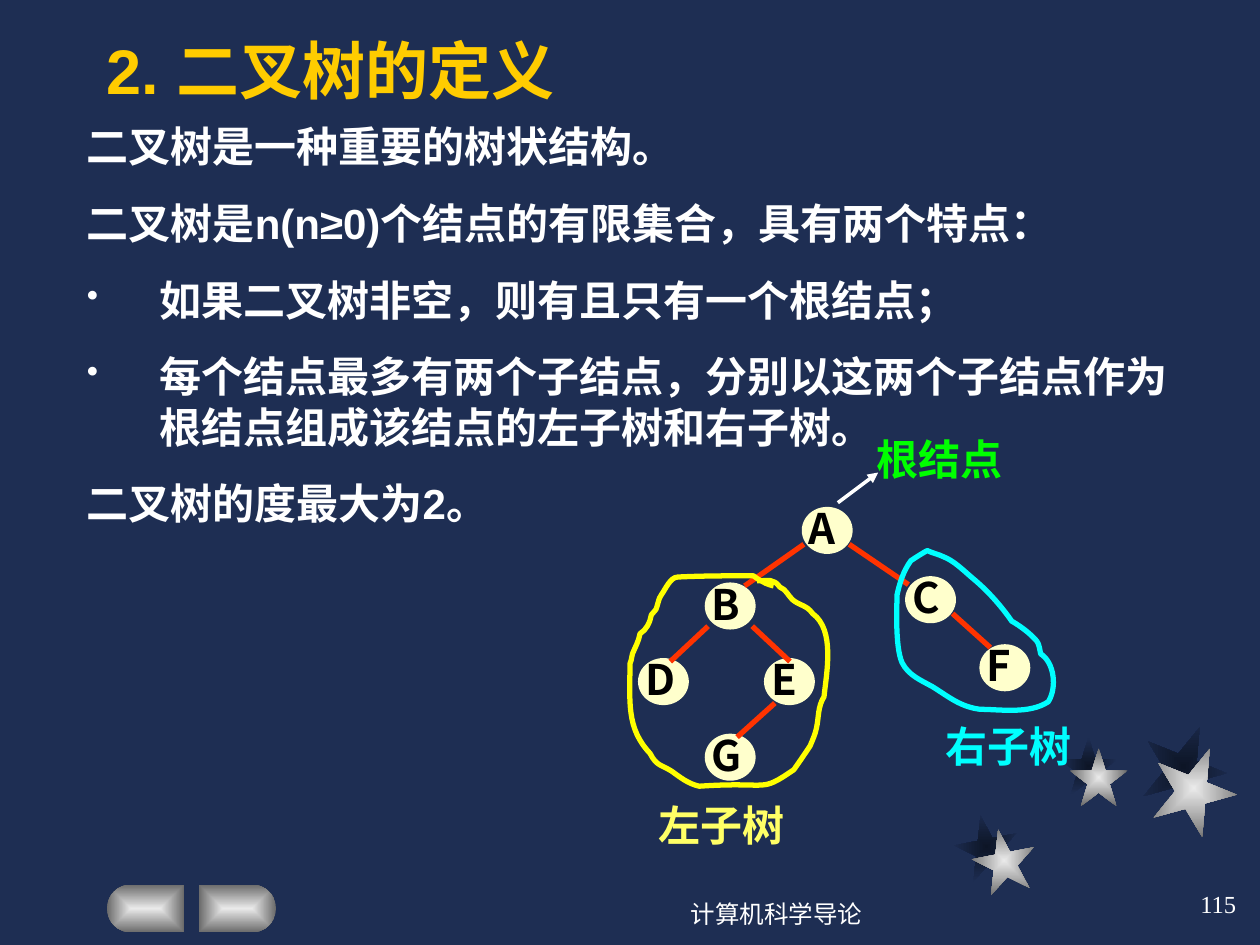
from math import cos, pi, sin

from lxml import etree
from pptx import Presentation
from pptx.dml.color import RGBColor
from pptx.enum import shapes, text
from pptx.oxml.ns import qn
from pptx.util import Inches, Pt

THEME = dict(
    bg="1E2E53", shade="0D1526", light="EAEAEA", dark="6B6B6B", title="FFCC00", white="FFFFFF",
    node="FFFFCC", ink="000000", edge="FF3300", left="FFFF00", left_label="FFFF66",
    right="00FFFF", root="00FF00", sans="Arial", serif="Times New Roman",
    cjk="Noto Sans CJK SC", title_pt=36, body_pt=24, foot_pt=14, gap_pt=15, leading=1.2,
)
UNITS = 1000  # freeform units per inch

TITLE = "2. 二叉树的定义"
BODY = [  # text, bulleted
    ("二叉树是一种重要的树状结构。", False),
    ("二叉树是n(n≥0)个结点的有限集合，具有两个特点：", False),
    ("如果二叉树非空，则有且只有一个根结点；", True),
    ("每个结点最多有两个子结点，分别以这两个子结点作为根结点组成该结点的左子树和右子树。", True),
    ("二叉树的度最大为2。", False),
]
LABELS = [("右子树", 7.41, 5.67, "right"), ("左子树", 5.13, 6.3, "left_label"),
          ("根结点", 6.86, 3.39, "root")]
FOOTER = [("计算机科学导论", (4.58, 7, 3.17, 0.5), "CENTER"),
          ("115", (7.83, 6.92, 2.08, 0.5), "RIGHT")]
NODES = {"A": (6.37, 4.03), "F": (7.78, 5.12), "G": (5.6, 5.83), "E": (6.07, 5.23),
         "D": (5.07, 5.23), "C": (7.19, 4.58), "B": (5.6, 4.63)}
EDGES = [(6.38, 4.32, 5.91, 4.65), (6.74, 4.32, 7.21, 4.64), (5.97, 4.97, 6.27, 5.25),
         (6.15, 5.58, 5.85, 5.85), (5.62, 4.97, 5.32, 5.25), (7.56, 4.87, 7.86, 5.14)]
ROOT_ARROW = (6.65, 3.99, 6.97, 3.75)
STARS = [  # size, rotation, shadow corner, star corner
    (0.5, 349, (7.58, 6.47), (7.72, 6.58)),
    (0.46, 0, (8.41, 5.85), (8.49, 5.94)),
    (0.67, 22, (9.06, 5.75), (9.14, 5.92)),
]
BUTTONS = [(1.46, -1), (1.58, 1)]  # x of the flat side, direction of the round side

# Loops: start point, then cubic segments (two controls and an end)
LEFT_LOOP = (6.14, 4.65), [
    (6.13, 4.65, 6.07, 4.63, 6.06, 4.62), (6.03, 4.61, 5.98, 4.57, 5.98, 4.57),
    (5.78, 4.57, 5.58, 4.57, 5.38, 4.58), (5.32, 4.58, 5.28, 4.68, 5.25, 4.72),
    (5.24, 4.73, 5.23, 4.76, 5.23, 4.76), (5.2, 4.86, 5.22, 4.82, 5.17, 4.88),
    (5.16, 4.94, 5.13, 5, 5.08, 5.03), (5.07, 5.09, 5.04, 5.14, 5.02, 5.19),
    (5.02, 5.21, 5.01, 5.22, 5.01, 5.24), (5, 5.25, 5, 5.28, 5, 5.28),
    (5, 5.57, 4.97, 5.78, 5.16, 5.98), (5.21, 6.08, 5.25, 6.07, 5.33, 6.12),
    (5.4, 6.17, 5.46, 6.22, 5.55, 6.24), (6.13, 6.2, 6.02, 6.3, 6.3, 6.11),
    (6.35, 6.04, 6.39, 5.98, 6.43, 5.92), (6.45, 5.87, 6.47, 5.83, 6.48, 5.78),
    (6.5, 5.69, 6.49, 5.61, 6.54, 5.53), (6.56, 5.34, 6.63, 5, 6.45, 4.87),
    (6.4, 4.8, 6.35, 4.81, 6.29, 4.76), (6.25, 4.72, 6.24, 4.68, 6.19, 4.66),
    (6.14, 4.59, 6.1, 4.61, 6.01, 4.61)]
RIGHT_LOOP = (7.36, 4.37), [
    (7.32, 4.39, 7.23, 4.45, 7.23, 4.45), (7.17, 4.53, 7.14, 4.63, 7.12, 4.72),
    (7.12, 4.78, 7.1, 5.13, 7.16, 5.26), (7.21, 5.36, 7.31, 5.4, 7.4, 5.45),
    (7.53, 5.53, 7.62, 5.61, 7.78, 5.63), (7.94, 5.63, 8.17, 5.67, 8.32, 5.57),
    (8.39, 5.46, 8.37, 5.26, 8.26, 5.19), (8.25, 5.15, 8.25, 5.12, 8.23, 5.09),
    (8.18, 5.03, 8.1, 4.97, 8.03, 4.93), (7.94, 4.8, 7.83, 4.68, 7.72, 4.59),
    (7.65, 4.53, 7.57, 4.45, 7.49, 4.42), (7.45, 4.4, 7.4, 4.39, 7.36, 4.37)]


def rgb(key):
    return RGBColor.from_string(THEME[key])


def child(parent, tag, **attrs):
    return etree.SubElement(parent, qn(tag), {k: str(v) for k, v in attrs.items()})


def glow(sp, inner, outer):
    """Fill with a rectangular gradient from the centre outwards."""
    sp.shadow.inherit = False
    sp.line.fill.background()
    sp.fill.gradient()
    for stop, key in zip(sp.fill.gradient_stops, (inner, outer)):
        stop.color.rgb = rgb(key)
    grad = sp._element.spPr.find(qn("a:gradFill"))
    grad.remove(grad.find(qn("a:lin")))
    child(child(grad, "a:path", path="rect"), "a:fillToRect", l=50000, t=50000, r=50000, b=50000)


def add_text(s, box, anchor="TOP", left=0.1):
    tf = s.shapes.add_textbox(*map(Inches, box)).text_frame
    tf.word_wrap = True
    tf.vertical_anchor = text.MSO_ANCHOR[anchor]
    tf.margin_left = Inches(left)
    return tf


def add_run(p, words, size, color, font, bold=True, fixed=True):
    if fixed:
        p.line_spacing = Pt(THEME[size] * THEME["leading"])
    r = p.add_run()
    r.text = words
    r.font.size, r.font.bold, r.font.name = Pt(THEME[size]), bold, THEME[font]
    r.font.color.rgb = rgb(color)
    child(r._r.get_or_add_rPr(), "a:ea", typeface=THEME["cjk"])


def add_line(s, ends, color, width):
    ln = s.shapes.add_connector(shapes.MSO_CONNECTOR.STRAIGHT, *map(Inches, ends))
    ln.line.color.rgb, ln.line.width = rgb(color), Pt(width)
    child(ln._element.spPr, "a:effectLst")
    return ln


def add_outline(s, points, close):
    (x, y), *rest = [(round(px * UNITS), round(py * UNITS)) for px, py in points]
    fb = s.shapes.build_freeform(x, y, scale=Inches(1) / UNITS)
    fb.add_line_segments(rest, close=close)
    return fb.convert_to_shape()


def add_loop(s, loop, color, close):
    """Outline the segment ends, then turn each straight segment into its cubic curve."""
    start, curves = loop
    ends = [start] + [c[4:] for c in curves]
    sp = add_outline(s, ends, close)
    x0, y0 = (min(axis) for axis in zip(*ends))
    for seg, c in zip(list(sp._element.iter(qn("a:lnTo"))), curves):
        cubic = etree.Element(qn("a:cubicBezTo"))
        for x, y in zip(c[::2], c[1::2]):
            child(cubic, "a:pt", x=round((x - x0) * UNITS), y=round((y - y0) * UNITS))
        seg.getparent().replace(seg, cubic)
    sp.shadow.inherit = False
    sp.fill.background()
    sp.line.color.rgb, sp.line.width = rgb(color), Pt(3)


def add_decor(s):
    for layer, colors in ((2, ("shade", "bg")), (3, ("light", "dark"))):
        for star in STARS:
            size, turn = star[:2]
            box = map(Inches, (*star[layer], size, size))
            sp = s.shapes.add_shape(shapes.MSO_SHAPE.STAR_5_POINT, *box)
            sp.rotation = turn
            glow(sp, *colors)
    radius, middle, straight = 0.19, 7.21, 0.42
    for x, side in BUTTONS:
        arc = [(x + side * (straight + radius * cos(a)), middle + radius * sin(a))
               for a in (pi * (i / 20 - 0.5) for i in range(21))]
        glow(add_outline(s, [(x, middle - radius), *arc, (x, middle + radius)], True),
             "light", "dark")


def add_body(s):
    tf = add_text(s, (0.59, 0.91, 9.05, 3.54))
    for i, (words, bulleted) in enumerate(BODY):
        p = tf.paragraphs[0] if i == 0 else tf.add_paragraph()
        if i:
            p.space_before = Pt(THEME["gap_pt"])
        pPr = p._p.get_or_add_pPr()
        pPr.set("marL", str(Inches(0.58)))
        pPr.set("indent", str(-Inches(0.58)))
        if bulleted:
            child(child(pPr, "a:buClr"), "a:srgbClr", val=THEME["white"])
            child(pPr, "a:buSzPct", val=80000)
            child(pPr, "a:buChar", char="•")
        else:
            child(pPr, "a:buNone")
        add_run(p, words, "body_pt", "white", "sans")


def add_tree(s):
    for name, (x, y) in NODES.items():
        sp = s.shapes.add_shape(shapes.MSO_SHAPE.OVAL, *map(Inches, (x, y, 0.39, 0.36)))
        sp.shadow.inherit = False
        sp.fill.solid()
        sp.fill.fore_color.rgb = sp.line.color.rgb = rgb("node")
        sp.line.width = Pt(1)
        tf = add_text(s, (x - 0.1, y - 0.09, 0.71, 0.5), left=0.15)
        add_run(tf.paragraphs[0], name, "body_pt", "ink", "cjk")
    for ends in EDGES:
        add_line(s, ends, "edge", 3)
    add_loop(s, LEFT_LOOP, "left", False)
    add_loop(s, RIGHT_LOOP, "right", True)
    for words, x, y, color in LABELS:
        tf = add_text(s, (x, y, 1.34, 0.5))
        add_run(tf.paragraphs[0], words, "body_pt", color, "serif")
    arrow = add_line(s, ROOT_ARROW, "white", 2)
    child(arrow.line._get_or_add_ln(), "a:tailEnd", type="triangle")


def main():
    prs = Presentation()
    prs.slide_width, prs.slide_height = Inches(10), Inches(7.5)
    s = prs.slides.add_slide(prs.slide_layouts[6])
    s.background.fill.solid()
    s.background.fill.fore_color.rgb = rgb("bg")
    add_decor(s)
    tf = add_text(s, (0.75, 0.28, 6.93, 0.62), anchor="BOTTOM")
    add_run(tf.paragraphs[0], TITLE, "title_pt", "title", "sans")
    add_body(s)
    add_tree(s)
    for words, box, align in FOOTER:
        p = add_text(s, box, anchor="MIDDLE").paragraphs[0]
        p.alignment = text.PP_ALIGN[align]
        add_run(p, words, "foot_pt", "white", "serif", bold=False, fixed=False)
    prs.save("out.pptx")


if __name__ == "__main__":
    main()
